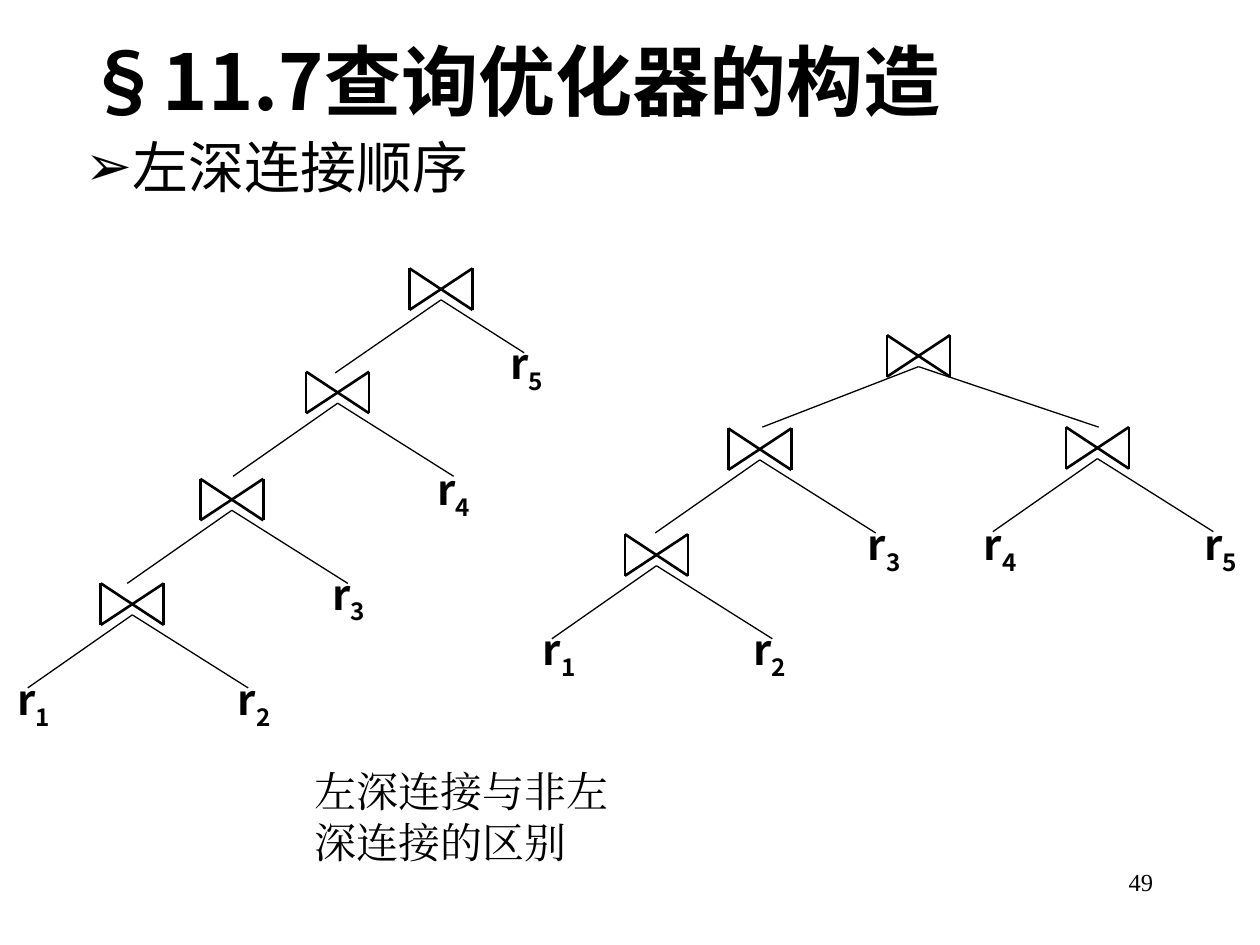
from pptx import Presentation
from pptx.dml.color import RGBColor
from pptx.enum.shapes import MSO_CONNECTOR
from pptx.enum.text import MSO_ANCHOR, MSO_AUTO_SIZE, PP_ALIGN
from pptx.oxml.ns import qn
from pptx.util import Inches, Pt
from lxml import etree

STRAIGHT = MSO_CONNECTOR.STRAIGHT
LEFT, RIGHT = PP_ALIGN.LEFT, PP_ALIGN.RIGHT
TOP, MIDDLE = MSO_ANCHOR.TOP, MSO_ANCHOR.MIDDLE
NO_AUTOFIT = MSO_AUTO_SIZE.NONE

COLORS = {"ink": "000000", "background": "FFFFFF"}
SANS = "Noto Sans CJK SC"
SERIF = "Times New Roman"

JOIN_WIDTH, JOIN_HEIGHT = 0.5, 0.33
APEX_OFFSET = 0.25
# Branch ends, measured from the apex below a join symbol
EVEN_BRANCHES = ((-0.83, 0.58), (0.92, 0.58))
SHORT_RIGHT_BRANCHES = ((-0.84, 0.58), (0.66, 0.42))
WIDE_BRANCHES = ((-1.24, 0.48), (1.43, 0.48))

# Joins: left, top, branches. Relations: subscript, left, top.
LEFT_DEEP_TREE = {
    "joins": [
        (3.25, 2.13, SHORT_RIGHT_BRANCHES),
        (2.43, 2.95, EVEN_BRANCHES),
        (1.59, 3.8, EVEN_BRANCHES),
        (0.8, 4.63, EVEN_BRANCHES),
    ],
    "relations": [("1", 0.04, 5.3), ("2", 1.79, 5.3), ("3", 2.54, 4.46),
                  ("4", 3.37, 3.63), ("5", 3.95, 2.63)],
}
BUSHY_TREE = {
    "joins": [
        (7.04, 2.66, WIDE_BRANCHES),
        (5.78, 3.4, EVEN_BRANCHES),
        (4.96, 4.24, EVEN_BRANCHES),
        (8.46, 3.39, EVEN_BRANCHES),
    ],
    "relations": [("1", 4.21, 4.9), ("2", 5.88, 4.9), ("3", 6.79, 4.07),
                  ("4", 7.71, 4.07), ("5", 9.46, 4.07)],
}


class SlideBuilder:
    def __init__(self, slide):
        self.slide = slide
        fill = slide.background.fill
        fill.solid()
        fill.fore_color.rgb = RGBColor.from_string(COLORS["background"])

    def format_run(self, run, size, font_name, bold=False):
        font = run.font
        font.size, font.bold = Pt(size), bold
        font.color.rgb = RGBColor.from_string(COLORS["ink"])
        font.name = font_name
        east_asian = etree.SubElement(run._r.get_or_add_rPr(), qn("a:ea"))
        east_asian.set("typeface", font_name)

    def format_paragraph(self, shape, size, font_name, bold=False,
                         space_before=0, align=LEFT, anchor=TOP):
        text_frame = shape.text_frame
        text_frame.word_wrap = True
        text_frame.auto_size = NO_AUTOFIT
        text_frame.vertical_anchor = anchor
        paragraph = text_frame.paragraphs[0]
        paragraph.alignment = align
        paragraph.space_before = Pt(space_before)
        for run in paragraph.runs:
            self.format_run(run, size, font_name, bold)
        return paragraph

    def place(self, shape, left, top, width, height):
        shape.left, shape.top = Inches(left), Inches(top)
        shape.width, shape.height = Inches(width), Inches(height)

    def title(self, text, *box):
        shape = self.slide.shapes.title
        self.place(shape, *box)
        shape.text_frame.text = text
        self.format_paragraph(shape, 44, SANS, bold=True, anchor=MIDDLE)

    def body(self, text, *box):
        shape = self.slide.placeholders[1]
        self.place(shape, *box)
        shape.text_frame.text = text
        paragraph = self.format_paragraph(shape, 32, SANS, space_before=8)
        properties = paragraph._p.get_or_add_pPr()
        properties.set("marL", "0")
        properties.set("indent", "0")
        etree.SubElement(properties, qn("a:buChar")).set("char", "➢")

    def text(self, shapes, text, box, size, font_name, **style):
        shape = shapes.add_textbox(*map(Inches, box))
        shape.text_frame.text = text
        return self.format_paragraph(shape, size, font_name, **style)

    def relation(self, shapes, subscript, left, top):
        paragraph = self.text(shapes, "r", (left, top, 0.58, 0.56), 24, SANS,
                              bold=True, space_before=15)
        run = paragraph.add_run()
        run.text = subscript
        self.format_run(run, 24, SANS, bold=True)
        run._r.get_or_add_rPr().set("baseline", "-25000")

    def line(self, shapes, start, end, weight):
        connector = shapes.add_connector(
            STRAIGHT, *map(Inches, (*start, *end)))
        connector.line.color.rgb = RGBColor.from_string(COLORS["ink"])
        connector.line.width = Pt(weight)
        etree.SubElement(connector._element.spPr, qn("a:effectLst"))

    def join(self, shapes, left, top, branches):
        """Draw a bow-tie join symbol and the two branches below it."""
        right, bottom = left + JOIN_WIDTH, top + JOIN_HEIGHT
        apex = (left + APEX_OFFSET, top + APEX_OFFSET)
        for across, down in branches:
            self.line(shapes, apex, (apex[0] + across, apex[1] + down), 0.75)
        for start, end in (
            ((left, top), (right, bottom)),
            ((left, bottom), (right, top)),
            ((left, bottom), (left, top)),
            ((right, bottom), (right, top)),
        ):
            self.line(shapes, start, end, 1.5)

    def tree(self, joins, relations):
        shapes = self.slide.shapes.add_group_shape().shapes
        for join in joins:
            self.join(shapes, *join)
        for relation in relations:
            self.relation(shapes, *relation)


def main():
    presentation = Presentation()
    presentation.slide_width = Inches(10)
    presentation.slide_height = Inches(7.5)
    slide = presentation.slides.add_slide(presentation.slide_layouts[1])
    builder = SlideBuilder(slide)

    builder.title("§11.7查询优化器的构造", 0.58, 0.17, 8.83, 0.92)
    builder.body("左深连接顺序", 0.58, 1, 8.83, 5.83)
    builder.text(slide.shapes, "49", (7.17, 6.83, 2.08, 0.5), 14, SERIF,
                 space_before=8.8, align=RIGHT)
    builder.text(slide.shapes, "左深连接与非左深连接的区别",
                 (2.4, 6.03, 2.58, 0.9), 24, SERIF, space_before=15)
    builder.tree(**LEFT_DEEP_TREE)
    builder.tree(**BUSHY_TREE)

    presentation.save("out.pptx")


if __name__ == "__main__":
    main()
